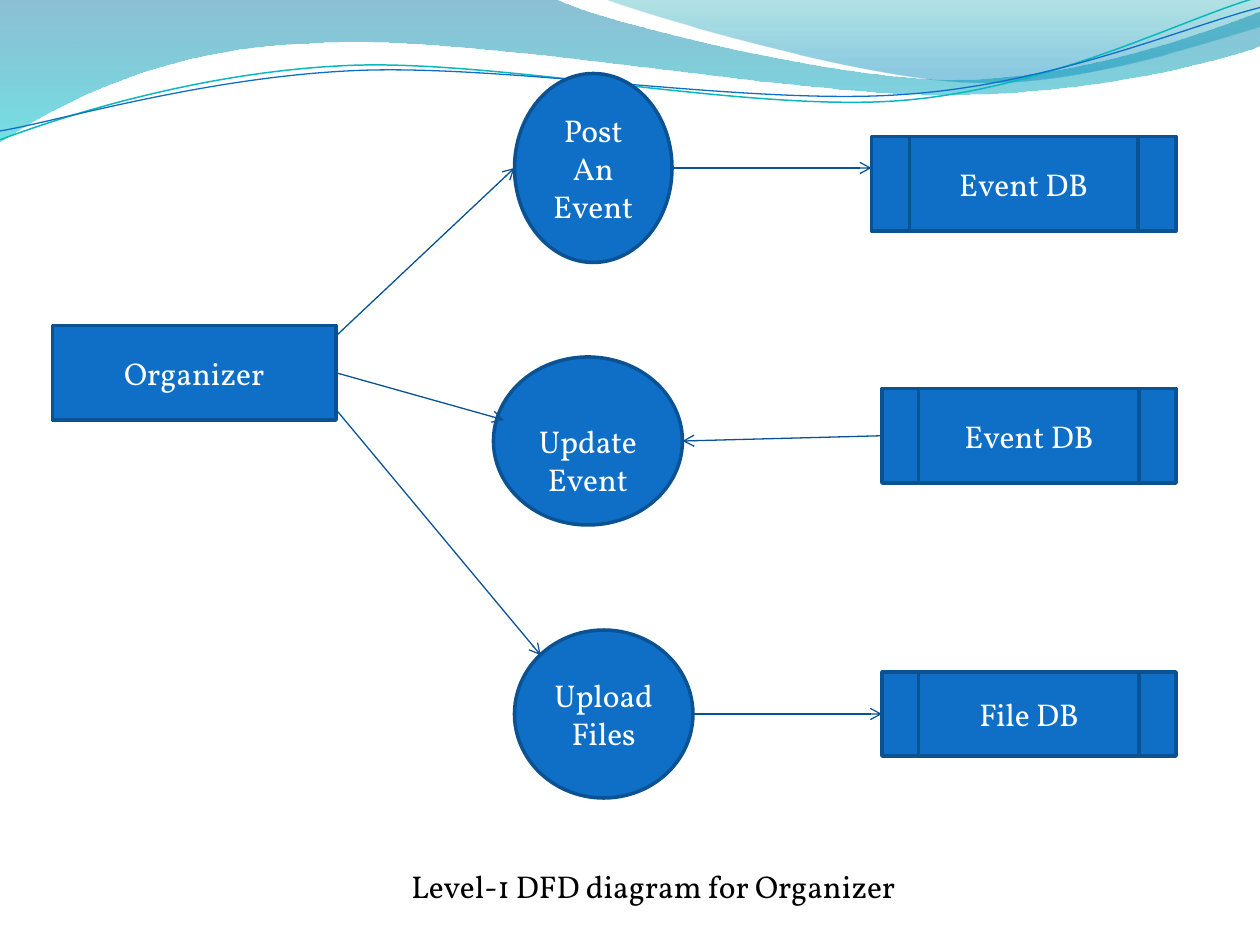
from dataclasses import dataclass

from lxml import etree
from pptx import Presentation
from pptx.dml.color import RGBColor
from pptx.enum import shapes, text
from pptx.oxml import ns
from pptx.util import Inches, Pt


@dataclass(frozen=True)
class Theme:
    """Colours, font and sizes of the slide."""
    node: str = "0F6FC6"
    outline: str = "0B5292"
    arrow: str = "095295"
    light: str = "FFFFFF"
    dark: str = "000000"
    teal_line: str = "0AB8BF"
    left_wave: tuple = ((0, "0074A1", 45), (1, "00C6CF", 55))
    right_wave: tuple = ((0, "00A1A9", 30), (0.8, "008BBF", 45))
    font: str = "Vollkorn"
    size: float = 18
    outline_width: float = 2
    thin: float = 0.75


THEME = Theme()
KIND = shapes.MSO_SHAPE
GRID_PER_INCH = 12

LEFT_WAVE = [
    [(0, 0)], [(4.4, -0.01)],
    [(4.76, 0.17), (6.64, 0.63), (7.58, 0.63)],
    [(8.53, 0.63), (9.58, 0.26), (10, 0.09)], [(10.01, 0.36)],
    [(9.83, 0.44), (8.7, 0.76), (7.46, 0.75)],
    [(6.22, 0.75), (3.82, 0.28), (2.57, 0.34)],
    [(1.29, 0.36), (0.46, 0.83), (-0.01, 1.13)],
]
RIGHT_WAVE = [
    [(0, 0)],
    [(0.3, 0.12), (2.03, 0.63), (2.9, 0.66)],
    [(3.77, 0.7), (4.82, 0.33), (5.21, 0.22)], [(5.21, 0.01)],
]
TEAL_CURVE = [
    [(0, 1.11)],
    [(0.48, 0.93), (1.58, 0.57), (2.77, 0.52)],
    [(3.95, 0.47), (5.93, 0.89), (7.13, 0.8)],
    [(8.33, 0.71), (9.38, 0.15), (9.98, -0.02)],
]
BLUE_CURVE = [
    [(0, 1.04)],
    [(0.47, 0.96), (1.64, 0.61), (2.83, 0.56)],
    [(4.03, 0.51), (5.97, 0.84), (7.17, 0.75)],
    [(8.36, 0.67), (9.41, 0.21), (10, 0.06)],
]
NODES = [
    (KIND.FLOWCHART_PROCESS, (5, 31, 27, 9), ["Organizer"], 0.05),
    (KIND.FLOWCHART_CONNECTOR, (49, 7, 15, 18), ["Post", "An", "Event"], 0.05),
    (KIND.FLOWCHART_CONNECTOR, (47, 34, 18, 16), ["Update", "Event"], 0.35),
    (KIND.FLOWCHART_CONNECTOR, (49, 60, 17, 16), ["Upload", "Files"], 0.05),
    (KIND.FLOWCHART_PREDEFINED_PROCESS, (83, 13, 29, 9), ["Event DB"], 0.05),
    (KIND.FLOWCHART_PREDEFINED_PROCESS, (84, 37, 28, 9), ["Event DB"], 0.05),
    (KIND.FLOWCHART_PREDEFINED_PROCESS, (84, 64, 28, 8), ["File DB"], 0.05),
]
FLOWS = [
    ((32, 32), (49, 16)),
    ((32, 35.5), (48, 40)),
    ((32, 39), (51.5, 62.4)),
    ((64, 16), (83, 16)),
    ((66, 68), (84, 68)),
    ((84, 41.5), (65, 42)),
]


def on_grid(values):
    """Turn grid units into lengths."""
    return [Inches(value / GRID_PER_INCH) for value in values]


def apply(target, values):
    """Set each attribute of the target from a dict."""
    for name, value in values.items():
        setattr(target, name, value)


def set_line(line, color, width):
    """Give a line its colour and width in points."""
    line.color.rgb = RGBColor.from_string(color)
    line.width = Pt(width)


def write(frame, lines, color, alignment):
    """Write one paragraph for each line of text."""
    for index, words in enumerate(lines):
        paragraph = frame.add_paragraph() if index else frame.paragraphs[0]
        paragraph.alignment = alignment
        run = paragraph.add_run()
        run.text = words
        apply(run.font, {"name": THEME.font, "size": Pt(THEME.size)})
        run.font.color.rgb = RGBColor.from_string(color)


def add_outline(slide, origin, segments, close):
    """Add a freeform of straight and cubic segments from an origin."""
    left, top = origin
    points = [(Inches(left + x), Inches(top + y)) for segment in segments for x, y in segment]
    builder = slide.shapes.build_freeform(*points[0], scale=1.0)
    builder.add_line_segments(points[1:], close=close)
    shape = builder.convert_to_shape()
    shape.shadow.inherit = False
    steps = iter(list(shape.element.iter(ns.qn("a:lnTo"))))
    for segment in segments[1:]:
        group = [next(steps) for _ in segment]
        if len(group) == 3:
            cubic = etree.Element(ns.qn("a:cubicBezTo"))
            group[0].addprevious(cubic)
            for step in group:
                cubic.append(step[0])
                step.getparent().remove(step)
    return shape


def add_wave(slide, origin, segments, stops):
    """Add a translucent wave shaded from top to bottom."""
    shape = add_outline(slide, origin, segments, True)
    shape.line.fill.background()
    shape.fill.gradient()
    shape.fill.gradient_angle = 270
    for stop, (position, color, _) in zip(shape.fill.gradient_stops, stops):
        stop.position = position
        stop.color.rgb = RGBColor.from_string(color)
    colors = shape.element.spPr.iter(ns.qn("a:srgbClr"))
    for element, (_, _, opacity) in zip(colors, stops):
        etree.SubElement(element, ns.qn("a:alpha"), val=str(opacity * 1000))


def add_header(slide, origin):
    """Draw the waves and curves across the top."""
    left, top = origin
    add_wave(slide, origin, LEFT_WAVE, THEME.left_wave)
    add_wave(slide, (left + 4.79, top - 0.01), RIGHT_WAVE, THEME.right_wave)
    for segments, color, width in ((TEAL_CURVE, THEME.teal_line, 0.85),
                                   (BLUE_CURVE, THEME.node, THEME.thin)):
        curve = add_outline(slide, origin, segments, False)
        curve.fill.background()
        set_line(curve.line, color, width)


def add_node(slide, kind, box, lines, top_margin):
    """Add one labelled node of the diagram."""
    shape = slide.shapes.add_shape(kind, *on_grid(box))
    shape.shadow.inherit = False
    shape.fill.solid()
    shape.fill.fore_color.rgb = RGBColor.from_string(THEME.node)
    set_line(shape.line, THEME.outline, THEME.outline_width)
    apply(shape.text_frame, {"word_wrap": True, "margin_top": Inches(top_margin),
                             "vertical_anchor": text.MSO_ANCHOR.MIDDLE})
    write(shape.text_frame, lines, THEME.light, text.PP_ALIGN.CENTER)


def add_flow(slide, start, end):
    """Add an arrow between two points."""
    connector = slide.shapes.add_connector(
        shapes.MSO_CONNECTOR.STRAIGHT, *on_grid((*start, *end)))
    set_line(connector.line, THEME.arrow, THEME.thin)
    properties = connector.element.spPr
    etree.SubElement(properties.find(ns.qn("a:ln")), ns.qn("a:tailEnd"), type="arrow")
    etree.SubElement(properties, ns.qn("a:effectLst"))


def add_caption(slide, box, words):
    """Add the caption under the diagram."""
    frame = slide.shapes.add_textbox(*on_grid(box)).text_frame
    apply(frame, {"word_wrap": True, "auto_size": text.MSO_AUTO_SIZE.SHAPE_TO_FIT_TEXT})
    write(frame, [words], THEME.dark, text.PP_ALIGN.LEFT)


def main():
    """Build and save the slide."""
    presentation = Presentation()
    apply(presentation, {"slide_width": Inches(10), "slide_height": Inches(7.5)})
    slide = presentation.slides.add_slide(presentation.slide_layouts[6])
    add_header(slide, (0, 0))
    for node in NODES:
        add_node(slide, *node)
    for flow in FLOWS:
        add_flow(slide, *flow)
    add_caption(slide, (38, 82, 51, 4.85), "Level-1 DFD diagram for Organizer")
    presentation.save("out.pptx")


if __name__ == "__main__":
    main()
